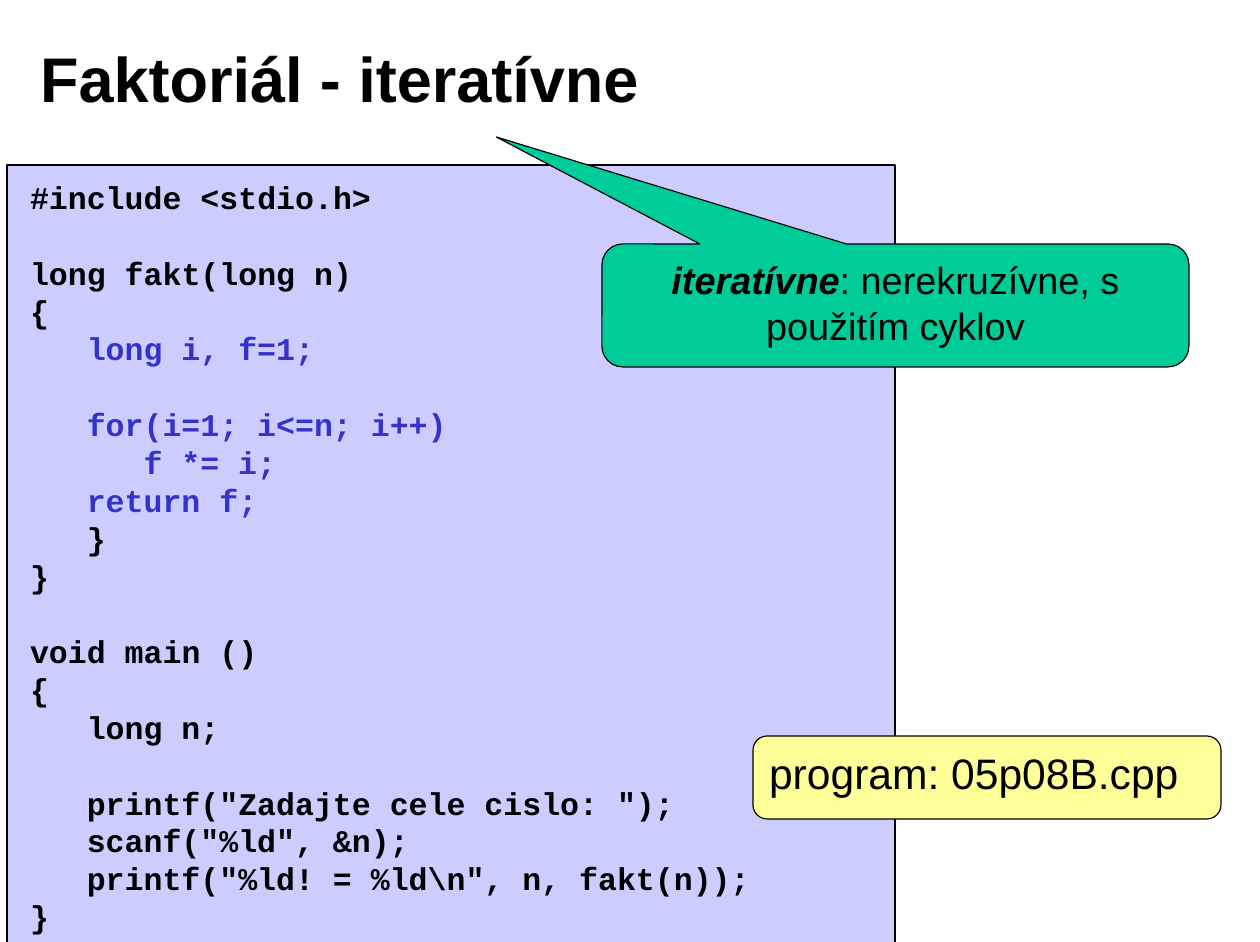
from pptx import Presentation
from pptx import util as u
from pptx.dml.color import RGBColor
from pptx.enum import shapes, text

PX = 8056
theme = {
    "ink": "000000", "key": "3333CC", "panel": "CCCCFF",
    "note": "00CC99", "tag": "FFFF99",
    "sans": "Arial", "mono": "Courier New",
    "title": 40, "code": 20, "hint": 24, "file": 27, "pitch": 24, "line": 0.75,
}
code = """#include <stdio.h>

long fakt(long n)
{
   long i, f=1;

   for(i=1; i<=n; i++)
      f *= i;
   return f;
   }
}

void main ()
{
   long n;

   printf("Zadajte cele cislo: ");
   scanf("%ld", &n);
   printf("%ld! = %ld\\n", n, fakt(n));
}"""
blue = range(4, 9)


def write(par, words, size, face="sans", ink="ink", **form):
    run = par.add_run()
    run.text = words
    look = {"size": u.Pt(theme[size]), "name": theme[face], "bold": False, **form}
    for key, val in look.items():
        setattr(run.font, key, val)
    run.font.color.rgb = RGBColor.from_string(theme[ink])


def frame(shape, **form):
    look = {"margin_left": 12 * PX, "margin_right": 12 * PX,
            "margin_top": 7 * PX, "margin_bottom": 7 * PX,
            "word_wrap": True, "vertical_anchor": text.MSO_ANCHOR.TOP, **form}
    for key, val in look.items():
        setattr(shape.text_frame, key, val)
    par = shape.text_frame.paragraphs[0]
    par.alignment = text.PP_ALIGN.LEFT
    return par


deck = Presentation()
deck.slide_width, deck.slide_height = 1260 * PX, 942 * PX
slide = deck.slides.add_slide(deck.slide_layouts[5])

kind = shapes.MSO_SHAPE
parts = {}
for name, form, box, bends in [
    ("panel", kind.RECTANGLE, (7, 165, 888, 780), []),
    ("tag", kind.ROUNDED_RECTANGLE, (753, 736, 468, 83), [0.17]),
    ("note", kind.ROUNDED_RECTANGULAR_CALLOUT, (602, 244, 587, 123), [-0.68, -1.37, 0.17]),
]:
    part = slide.shapes.add_shape(form, *[n * PX for n in box])
    part.shadow.inherit = False
    part.fill.solid()
    part.fill.fore_color.rgb = RGBColor.from_string(theme[name])
    part.line.color.rgb = RGBColor.from_string(theme["ink"])
    part.line.width = u.Pt(theme["line"])
    for i, bend in enumerate(bends):
        part.adjustments[i] = bend
    parts[name] = part

title = slide.shapes.title
title.left, title.top, title.width, title.height = [n * PX for n in (28, 19, 1012, 116)]
par = frame(title, vertical_anchor=text.MSO_ANCHOR.MIDDLE)
write(par, "Faktoriál - iteratívne", "title", bold=True)

par = frame(parts["panel"], margin_left=23 * PX, margin_top=13 * PX, word_wrap=False)
gap = 0
for row, line in enumerate(code.split("\n")):
    if not line:
        gap += theme["pitch"]
        continue
    if row:
        par = parts["panel"].text_frame.add_paragraph()
    words = line.lstrip()
    dent = (len(line) - len(words)) * theme["code"] * 0.6
    props = par._p.get_or_add_pPr()
    props.set("marL", str(u.Pt(dent)))
    props.set("indent", "0")
    for key, val in {"alignment": text.PP_ALIGN.LEFT, "space_before": u.Pt(gap),
                     "line_spacing": u.Pt(theme["pitch"])}.items():
        setattr(par, key, val)
    write(par, words, "code", "mono", "key" if row in blue else "ink", bold=True)
    gap = 0

write(frame(parts["tag"]), "program: 05p08B.cpp", "file")

par = frame(parts["note"])
par.alignment = text.PP_ALIGN.CENTER
write(par, "iteratívne", "hint", bold=True, italic=True)
write(par, ": nerekruzívne, s použitím cyklov", "hint")

deck.save("out.pptx")
